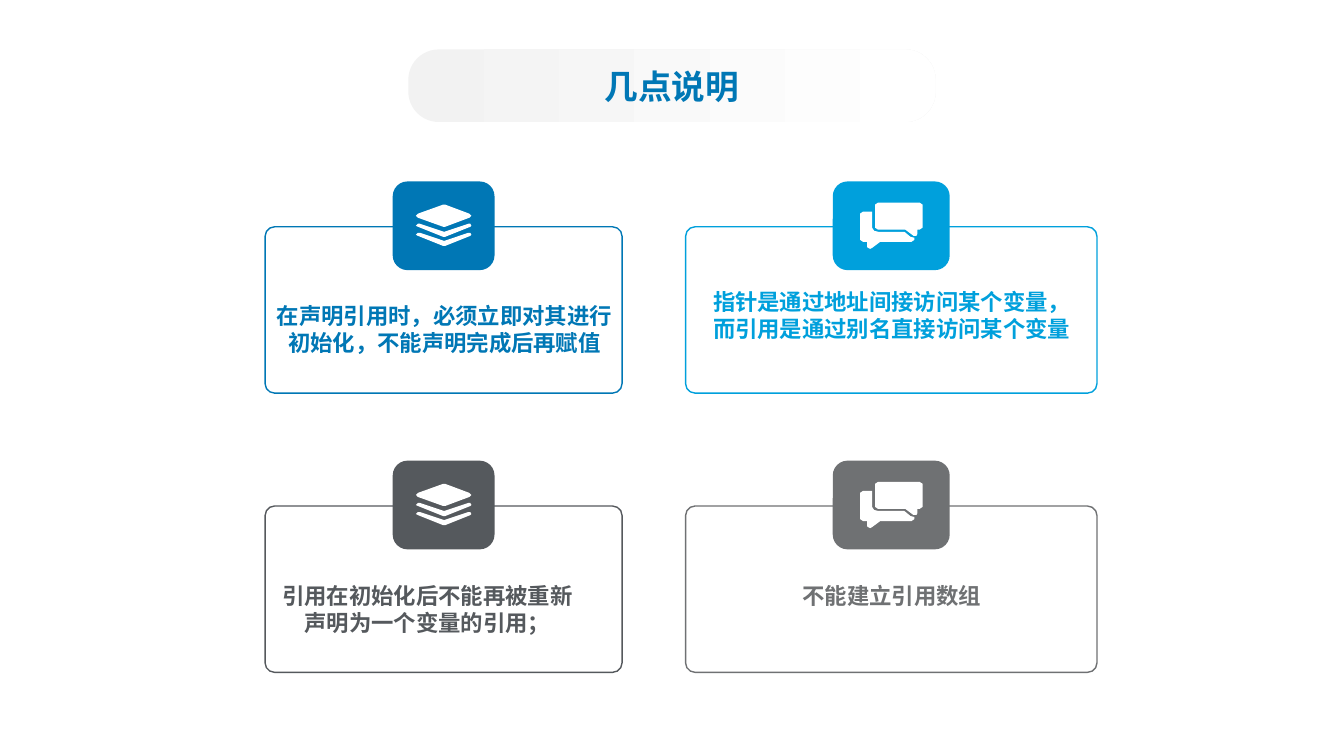
from lxml.etree import SubElement
from pptx import Presentation
from pptx.dml.color import RGBColor
from pptx.enum.shapes import MSO_SHAPE
from pptx.enum.text import MSO_ANCHOR, MSO_AUTO_SIZE, PP_ALIGN
from pptx.oxml.ns import qn
from pptx.util import Inches, Pt

COLORS = {
    "blue": "0077B5",
    "sky": "00A0DC",
    "slate": "55595D",
    "gray": "6F7173",
    "mist": "F2F2F2",
    "white": "FFFFFF",
}
CJK_FONT = "Noto Sans CJK SC"

# Icon outlines in hundredths of an inch
LOWER_SHEET = [(0, 21), (2, 19), (4, 19), (28, 27), (52, 19), (54, 19),
               (55, 21), (54, 22), (29, 32), (27, 32), (2, 22)]
STACK = {
    "size": (0.55, 0.42),
    "outlines": [
        [(2, 9), (27, 0), (29, 0), (53, 9), (55, 11), (53, 13),
         (29, 22), (27, 22), (2, 13), (0, 11)],
        LOWER_SHEET,
        [(x, y + 9) for x, y in LOWER_SHEET],
    ],
}
BUBBLES = {
    "size": (0.62, 0.46),
    "outlines": [
        [(59, 27), (57, 27), (57, 31), (56, 33), (53, 33), (45, 27), (18, 27),
         (15, 25), (15, 2), (18, 0), (59, 0), (62, 2), (62, 25)],
        [(44, 29), (50, 34), (54, 35), (54, 37), (51, 39), (20, 39), (12, 45),
         (10, 46), (8, 45), (7, 44), (7, 39), (3, 39), (0, 37), (0, 11),
         (3, 9), (12, 9), (12, 25), (14, 28), (18, 29)],
    ],
}

CARD_HEIGHT, TAB_HEIGHT, TAB_RISE = 1.65, 0.88, 0.45
ROW_TOPS = (2.25, 5.02)
COLUMNS = (
    {"left": 2.63, "width": 3.54, "tab_width": 1.01, "icon": STACK},
    {"left": 6.8, "width": 4.08, "tab_width": 1.16, "icon": BUBBLES},
)
# Row by row: colour, lines, and the text area relative to its card
CARDS = (
    ("blue", ["在声明引用时，必须立即对其进行", "初始化，不能声明完成后再赋值"],
     (0.05, 0.75, 3.46, 0.74)),
    ("sky", ["指针是通过地址间接访问某个变量，", "而引用是通过别名直接访问某个变量"],
     (0.19, 0.61, 3.71, 0.88)),
    ("slate", ["引用在初始化后不能再被重新", "声明为一个变量的引用；"],
     (0, 0.76, 3.22, 0.7)),
    ("gray", ["不能建立引用数组"], (0.19, 0.76, 3.71, 0.27)),
)


def rgb(name):
    return RGBColor.from_string(COLORS[name])


def place(box):
    return [Inches(length) for length in box]


def write_lines(frame, lines, size, color, font):
    for index, line in enumerate(lines):
        paragraph = frame.paragraphs[0] if index == 0 else frame.add_paragraph()
        paragraph.alignment = PP_ALIGN.CENTER
        run = paragraph.add_run()
        run.text = line
        run.font.size = Pt(size)
        run.font.bold = True
        run.font.color.rgb = rgb(color)
        run.font.name = font
        SubElement(run.font._element, qn("a:ea"), typeface=CJK_FONT)


def add_rounded(slide, box, corner, fill=None, line=None):
    rounded = slide.shapes.add_shape(MSO_SHAPE.ROUNDED_RECTANGLE, *place(box))
    rounded.shadow.inherit = False
    rounded.adjustments[0] = corner
    if fill:
        rounded.fill.solid()
        rounded.fill.fore_color.rgb = rgb(fill)
    else:
        rounded.fill.background()
    if line:
        rounded.line.color.rgb = rgb(line)
        rounded.line.width = Pt(1)
    else:
        rounded.line.fill.background()
    return rounded


def add_title(slide, box):
    banner = add_rounded(slide, box, 0.42)
    banner.fill.gradient()
    banner.fill.gradient_angle = 0
    for stop, color in zip(banner.fill.gradient_stops, ("mist", "white")):
        stop.color.rgb = rgb(color)

    title = slide.shapes.title
    title.left, title.top, title.width, title.height = place(box)
    slide.shapes._spTree.append(title._element)  # bring above the banner
    frame = title.text_frame
    frame.auto_size = MSO_AUTO_SIZE.NONE
    frame.vertical_anchor = MSO_ANCHOR.MIDDLE
    write_lines(frame, ["几点说明"], 24, "blue", CJK_FONT)


def add_icon(slide, icon, center_x, center_y):
    width, height = icon["size"]
    first, *others = icon["outlines"]
    builder = slide.shapes.build_freeform(*first[0], scale=Inches(0.01))
    builder.add_line_segments(first[1:], close=True)
    for outline in others:
        builder.move_to(*outline[0])
        builder.add_line_segments(outline[1:], close=True)
    drawing = builder.convert_to_shape(
        Inches(center_x - width / 2), Inches(center_y - height / 2))
    drawing.shadow.inherit = False
    drawing.fill.solid()
    drawing.fill.fore_color.rgb = rgb("white")
    drawing.line.fill.background()


def add_card(slide, column, top, color, lines, text_area):
    left, width, tab_width = column["left"], column["width"], column["tab_width"]
    center = left + width / 2
    tab_top = top - TAB_RISE
    add_rounded(slide, (left, top, width, CARD_HEIGHT), 0.057, line=color)
    add_rounded(slide, (center - tab_width / 2, tab_top, tab_width, TAB_HEIGHT),
                0.1667, fill=color)
    add_icon(slide, column["icon"], center, tab_top + TAB_HEIGHT / 2)

    dx, dy, text_width, text_height = text_area
    frame = slide.shapes.add_textbox(
        *place((left + dx, top + dy, text_width, text_height))).text_frame
    frame.margin_left = frame.margin_right = 0
    frame.margin_top = frame.margin_bottom = 0
    frame.word_wrap = False
    write_lines(frame, lines, 16, color, "Arial")


def main():
    presentation = Presentation()
    presentation.slide_width = Inches(13.33)
    presentation.slide_height = Inches(7.5)
    slide = presentation.slides.add_slide(presentation.slide_layouts[5])
    add_title(slide, (4.05, 0.49, 5.23, 0.72))
    for index, card in enumerate(CARDS):
        row, column = divmod(index, len(COLUMNS))
        add_card(slide, COLUMNS[column], ROW_TOPS[row], *card)
    presentation.save("out.pptx")


if __name__ == "__main__":
    main()
